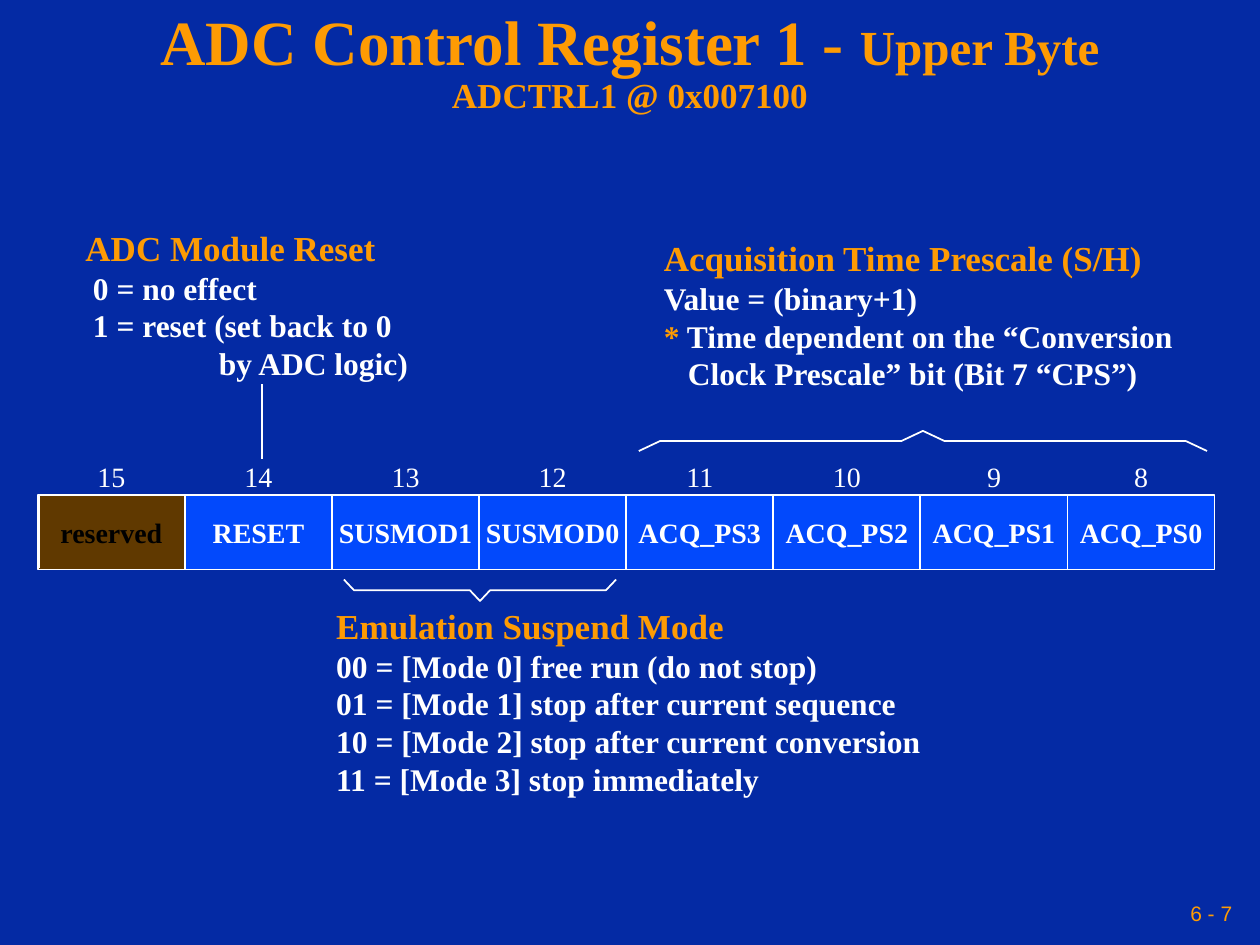
import pptx
import pptx.util
import pptx.dml.color
import pptx.enum.shapes
import pptx.enum.text
import lxml.etree
from pptx.util import Inches

RGBColor = pptx.dml.color.RGBColor
NAVY = RGBColor(0x04, 0x2A, 0xA4)
BLUE = RGBColor(0x02, 0x49, 0xFC)
BROWN = RGBColor(0x60, 0x39, 0x00)
GOLD = RGBColor(0xFE, 0x9B, 0x03)
WHITE = RGBColor(0xFF, 0xFF, 0xFF)
BLACK = RGBColor(0x00, 0x00, 0x00)

ALIGN = pptx.enum.text.PP_ALIGN
MIDDLE = pptx.enum.text.MSO_ANCHOR.MIDDLE
SERIF = "Times New Roman"

TITLE = {"name": SERIF, "size": 36, "bold": True, "color": GOLD}
PART = {**TITLE, "size": 28}
ADDRESS = {**TITLE, "size": 20}
HEAD = ADDRESS
BODY = {**HEAD, "size": 18, "color": WHITE}
STAR = {**BODY, "color": GOLD}
FIELD = {**BODY, "size": 16}
BIT = {**FIELD, "bold": False}
PAGE = {"name": "Arial", "size": 12, "bold": False, "color": GOLD}

FIELDS = ["reserved", "RESET", "SUSMOD1", "SUSMOD0",
          "ACQ_PS3", "ACQ_PS2", "ACQ_PS1", "ACQ_PS0"]

# Each row of a note is its indent in inches and its runs.
RESET = [
    (0, [("ADC Module Reset", HEAD)]),
    (0.06, [("0 = no effect", BODY)]),
    (0.06, [("1 = reset (set back to 0", BODY)]),
    (1.06, [("by ADC logic)", BODY)]),
]
SCALE = [
    (0, [("Acquisition Time Prescale (S/H)", HEAD)]),
    (0, [("Value = (binary+1)", BODY)]),
    (0, [("*", STAR), (" Time dependent on the “Conversion", BODY)]),
    (0.19, [("Clock Prescale” bit (Bit 7 “CPS”)", BODY)]),
]
MODES = [
    (0, [("Emulation Suspend Mode", HEAD)]),
    (0, [("00 = [Mode 0] free run (do not stop)", BODY)]),
    (0, [("01 = [Mode 1] stop after current sequence", BODY)]),
    (0, [("10 = [Mode 2] stop after current conversion", BODY)]),
    (0, [("11 = [Mode 3] stop immediately", BODY)]),
]


def add_run(para, text, style):
    run = para.add_run()
    run.text = text
    for key, value in style.items():
        if key == "color":
            run.font.color.rgb = value
        else:
            setattr(run.font, key, pptx.util.Pt(value) if key == "size" else value)


def add_box(slide, left, top, width, height, **frame):
    box = slide.shapes.add_textbox(
        Inches(left), Inches(top), Inches(width), Inches(height))
    for key, value in {"word_wrap": False, **frame}.items():
        setattr(box.text_frame, key, value)
    return box.text_frame


def add_title(slide, left, top, width, height):
    frame = add_box(slide, left, top, width, height,
                    word_wrap=True, vertical_anchor=MIDDLE)
    para = frame.paragraphs[0]
    para.alignment = ALIGN.CENTER
    para.line_spacing = 0.9
    add_run(para, "ADC Control Register 1 - ", TITLE)
    add_run(para, "Upper Byte", PART)
    para.add_line_break()
    add_run(para, "ADCTRL1 @ 0x007100", ADDRESS)


def add_note(slide, left, top, width, height, rows):
    frame = add_box(slide, left, top, width, height)
    for i, (indent, runs) in enumerate(rows):
        para = frame.add_paragraph() if i else frame.paragraphs[0]
        if indent:
            para._p.get_or_add_pPr().set("marL", str(Inches(indent)))
        for text, style in runs:
            add_run(para, text, style)


def add_line(slide, x1, y1, x2, y2):
    line = slide.shapes.add_connector(
        pptx.enum.shapes.MSO_CONNECTOR.STRAIGHT,
        Inches(x1), Inches(y1), Inches(x2), Inches(y2))
    line.line.color.rgb = WHITE
    line.line.width = pptx.util.Pt(1)
    lxml.etree.SubElement(line._element.spPr, pptx.oxml.ns.qn("a:effectLst"))


def add_brace(slide, left, top, width, height, slant, up):
    """Draw a brace whose point is mid-width, at the top if up is true."""
    mid, right = left + width / 2, left + width
    ends, tip = (top + height, top) if up else (top, top + height)
    bar = top + height / 2
    points = [(left, ends), (left + slant, bar), (mid - slant, bar), (mid, tip),
              (mid + slant, bar), (right - slant, bar), (right, ends)]
    start, *rest = [(Inches(x), Inches(y)) for x, y in points]
    build = slide.shapes.build_freeform(*start)
    build.add_line_segments(rest, close=False)
    brace = build.convert_to_shape()
    brace.shadow.inherit = False
    brace.fill.background()
    brace.line.color.rgb = WHITE
    brace.line.width = pptx.util.Pt(1)


def add_cell(slide, left, top, width, height, name):
    spare = name == "reserved"
    cell = slide.shapes.add_shape(
        pptx.enum.shapes.MSO_SHAPE.RECTANGLE,
        Inches(left), Inches(top), Inches(width), Inches(height))
    cell.shadow.inherit = False
    cell.fill.solid()
    cell.fill.fore_color.rgb = BROWN if spare else BLUE
    cell.line.color.rgb = WHITE
    cell.line.width = pptx.util.Pt(1)
    frame = cell.text_frame
    form = {"margin_left": 0, "margin_right": 0, "word_wrap": False,
            "vertical_anchor": MIDDLE}
    for key, value in form.items():
        setattr(frame, key, value)
    para = frame.paragraphs[0]
    para.alignment = ALIGN.CENTER
    add_run(para, name, {**FIELD, "color": BLACK if spare else WHITE})


def add_table_row(slide, left, top, width, height):
    """Draw the register: bit numbers above a row of equal cells."""
    step = width / len(FIELDS)
    for i, name in enumerate(FIELDS):
        x = left + i * step
        add_cell(slide, x, top, step, height, name)
        para = add_box(slide, x, top - 0.33, step, 0.36,
                       word_wrap=True).paragraphs[0]
        para.alignment = ALIGN.CENTER
        add_run(para, str(15 - i), BIT)
    add_line(slide, left + 0.01, top + 0.01, left + 0.01, top + height - 0.01)


def add_page(slide, left, top, width, height):
    edge = Inches(0.05)
    frame = add_box(slide, left, top, width, height, word_wrap=True,
                    vertical_anchor=MIDDLE, margin_left=edge, margin_right=edge)
    para = frame.paragraphs[0]
    para.alignment = ALIGN.RIGHT
    add_run(para, "6 - 7", PAGE)


def main():
    deck = pptx.Presentation()
    deck.slide_width, deck.slide_height = Inches(10), Inches(7.5)
    slide = deck.slides.add_slide(deck.slide_layouts[6])
    slide.background.fill.solid()
    slide.background.fill.fore_color.rgb = NAVY

    add_title(slide, 0, 0.17, 10, 0.67)
    add_table_row(slide, 0.3, 3.93, 9.34, 0.59)
    add_note(slide, 0.58, 1.75, 2.77, 1.33, RESET)
    add_line(slide, 2.08, 3.05, 2.08, 3.64)
    add_note(slide, 5.17, 1.83, 4.25, 1.33, SCALE)
    add_brace(slide, 5.07, 3.42, 4.51, 0.16, 0.17, up=True)
    add_brace(slide, 2.73, 4.6, 2.16, 0.17, 0.08, up=False)
    add_note(slide, 2.57, 4.75, 4.85, 1.63, MODES)
    add_page(slide, 6.83, 7.08, 3, 0.33)
    deck.save("out.pptx")


if __name__ == "__main__":
    main()
